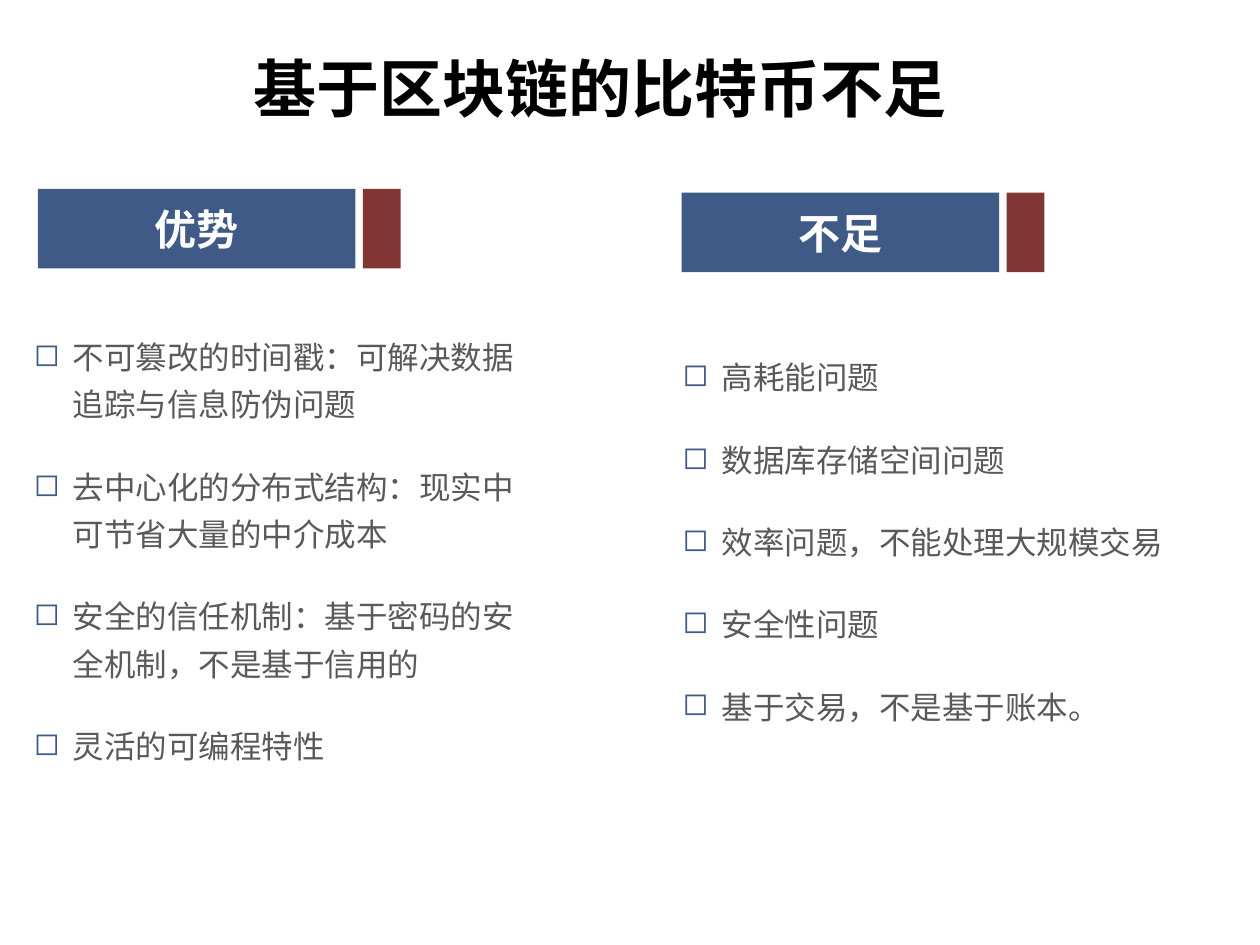
from lxml import etree
from pptx import Presentation
from pptx.dml.color import RGBColor
from pptx.enum.shapes import MSO_SHAPE
from pptx.enum.text import MSO_ANCHOR, PP_ALIGN
from pptx.oxml.ns import qn
from pptx.util import Inches, Pt

RECT = MSO_SHAPE.RECTANGLE
MIDDLE = MSO_ANCHOR.MIDDLE
TOP = MSO_ANCHOR.TOP
CENTER = PP_ALIGN.CENTER
LEFT = PP_ALIGN.LEFT

BLACK = RGBColor(0, 0, 0)
WHITE = RGBColor(255, 255, 255)
GRAY = RGBColor(0x59, 0x59, 0x59)
BLUE = RGBColor(0x3F, 0x5A, 0x87)
RED = RGBColor(0x82, 0x36, 0x34)

FONT = "Noto Sans CJK SC"
COLS, ROWS = 100, 75
INDENT = Inches(0.31)

TITLE = "基于区块链的比特币不足"
SIDES = [
    ("优势", (3, 15), (1.7, 25.6, 41.3, 35.9), [
        "不可篡改的时间戳：可解决数据追踪与信息防伪问题",
        "去中心化的分布式结构：现实中可节省大量的中介成本",
        "安全的信任机制：基于密码的安全机制，不是基于信用的",
        "灵活的可编程特性",
    ]),
    ("不足", (54.1, 15.3), (53.2, 27.2, 40.3, 31.2), [
        "高耗能问题",
        "数据库存储空间问题",
        "效率问题，不能处理大规模交易",
        "安全性问题",
        "基于交易，不是基于账本。",
    ]),
]


class Deck:
    title = {"size": Pt(36), "bold": True, "name": FONT}
    head = {"size": Pt(24), "bold": True, "name": FONT}
    body = {"size": Pt(18), "bold": False, "name": FONT}
    list = {"space_before": Pt(20), "line_spacing": Pt(27), "alignment": LEFT}

    def __init__(self):
        self.file = Presentation()
        self.file.slide_width = Inches(10)
        self.file.slide_height = Inches(7.5)
        self.slide = self.file.slides.add_slide(self.file.slide_layouts[6])

    def place(self, left, top, width, height):
        col = self.file.slide_width / COLS
        row = self.file.slide_height / ROWS
        return [round(n * unit) for n, unit in
                zip((left, top, width, height), (col, row, col, row))]

    def style(self, item, form):
        for key, value in form.items():
            setattr(item, key, value)

    def add_text(self, para, text, form, color):
        run = para.add_run()
        run.text = text
        self.style(run.font, form)
        run.font.color.rgb = color
        east = etree.SubElement(run.font._element, qn("a:ea"))
        east.set("typeface", FONT)

    def label(self, frame, text, form, color):
        self.style(frame, {"word_wrap": True, "vertical_anchor": MIDDLE})
        para = frame.paragraphs[0]
        para.alignment = CENTER
        self.add_text(para, text, form, color)

    def heading(self, text):
        box = self.slide.shapes.add_textbox(*self.place(1.7, 2.6, 91.9, 8.6))
        self.label(box.text_frame, text, self.title, BLACK)

    def block(self, group, area, color):
        shape = group.shapes.add_shape(RECT, *self.place(*area))
        shape.shadow.inherit = False
        shape.fill.solid()
        shape.fill.fore_color.rgb = color
        shape.line.fill.background()
        return shape

    def banner(self, text, left, top):
        group = self.slide.shapes.add_group_shape()
        bar = self.block(group, (left, top, 25.2, 6.3), BLUE)
        self.label(bar.text_frame, text, self.head, WHITE)
        self.block(group, (left + 25.8, top, 3, 6.3), RED)

    def bullet(self, para):
        props = para._p.get_or_add_pPr()
        props.set("marL", str(INDENT))
        props.set("indent", str(-INDENT))
        tint = etree.SubElement(props, qn("a:buClr"))
        etree.SubElement(tint, qn("a:srgbClr")).set("val", str(BLUE))
        etree.SubElement(props, qn("a:buChar")).set("char", "◻")

    def points(self, lines, area):
        box = self.slide.shapes.add_textbox(*self.place(*area))
        frame = box.text_frame
        self.style(frame, {"word_wrap": True, "vertical_anchor": TOP})
        for i, text in enumerate(lines):
            para = frame.add_paragraph() if i else frame.paragraphs[0]
            self.style(para, self.list)
            self.bullet(para)
            self.add_text(para, text, self.body, GRAY)


def main():
    deck = Deck()
    deck.heading(TITLE)
    for name, start, area, lines in SIDES:
        deck.banner(name, *start)
        deck.points(lines, area)
    deck.file.save("out.pptx")


if __name__ == "__main__":
    main()
